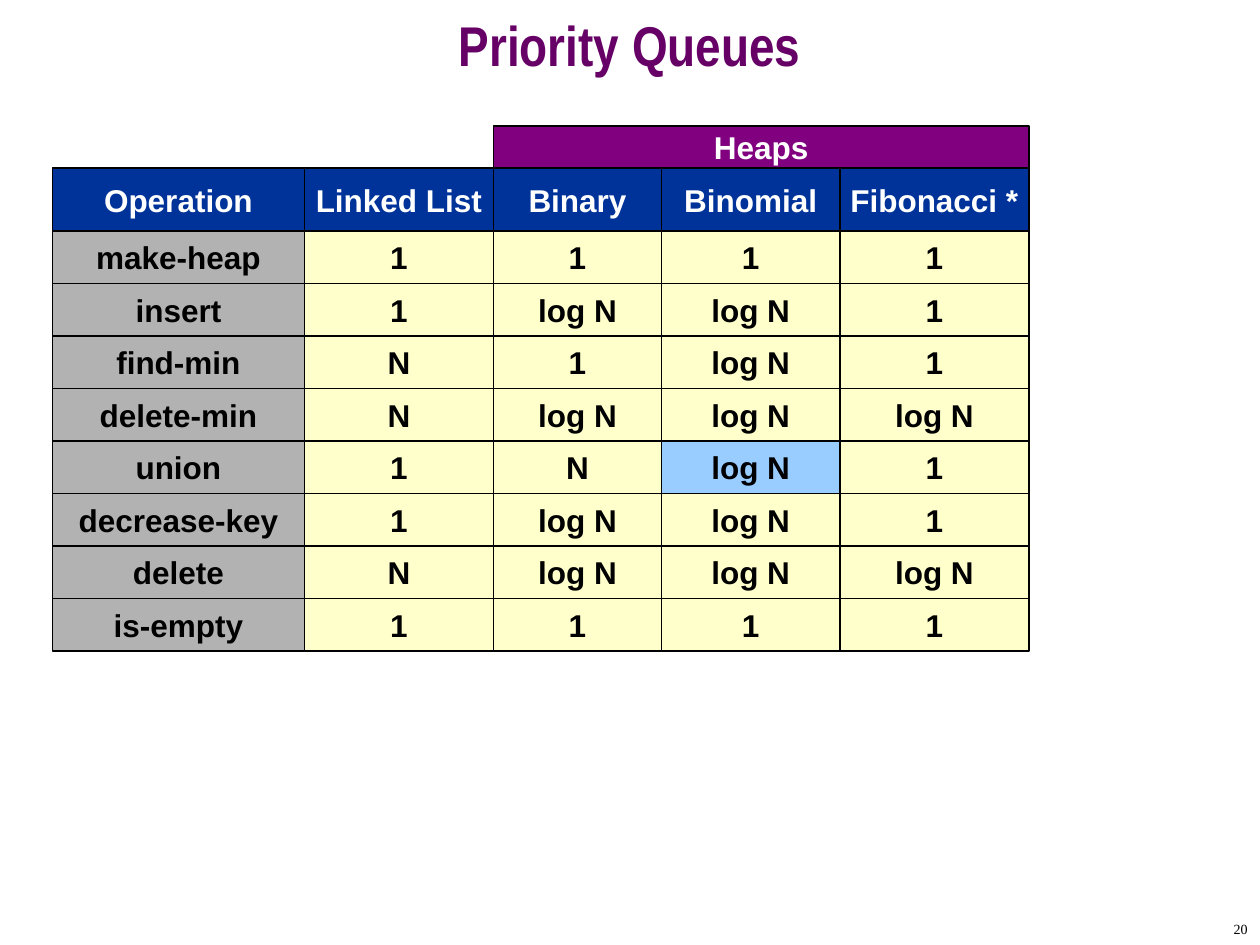
from itertools import accumulate

from pptx import Presentation, util as u
from pptx.dml.color import RGBColor
from pptx.enum import shapes, text

TITLE = "Priority Queues"
PAGE_NUMBER = "20"
GROUP = "Heaps"
HEADINGS = ["Operation", "Linked List", "Binary", "Binomial", "Fibonacci *"]
OPERATIONS = [
    ("make-heap", "1", "1", "1", "1"),
    ("insert", "1", "log N", "log N", "1"),
    ("find-min", "N", "1", "log N", "1"),
    ("delete-min", "N", "log N", "log N", "log N"),
    ("union", "1", "N", "log N", "1"),
    ("decrease-key", "1", "log N", "log N", "1"),
    ("delete", "N", "log N", "log N", "log N"),
    ("is-empty", "1", "1", "1", "1"),
]
HIGHLIGHT = ("union", "Binomial")
COLORS = {
    "title": "660066", "group": "800080", "heading": "003399",
    "operation": "B2B2B2", "cost": "FFFFCC", "highlight": "99CCFF",
    "light": "FFFFFF", "dark": "000000",
}

UNIT = u.Inches(1) // 12
COLUMNS = [24, 18, 16, 17, 18]
ROWS = [4, 6] + [5] * len(OPERATIONS)
LEFTS = list(accumulate(COLUMNS, initial=5))
TOPS = list(accumulate(ROWS, initial=12))
FIRST_HEAP = HEADINGS.index("Binary")


def color(name):
    return RGBColor.from_string(COLORS[name])


def write(box, words, font, size, ink, bold, align):
    box.text_frame.vertical_anchor = text.MSO_ANCHOR.MIDDLE
    para = box.text_frame.paragraphs[0]
    para.alignment = align
    span = para.add_run()
    span.text = words
    span.font.name, span.font.size, span.font.bold = font, u.Pt(size), bold
    span.font.color.rgb = color(ink)
    return para


def add_cell(page, row, col, words, fill, ink, columns=1):
    box = page.shapes.add_shape(
        shapes.MSO_SHAPE.RECTANGLE, LEFTS[col] * UNIT, TOPS[row] * UNIT,
        sum(COLUMNS[col:col + columns]) * UNIT, ROWS[row] * UNIT)
    box.shadow.inherit = False
    box.fill.solid()
    box.fill.fore_color.rgb = color(fill)
    box.line.color.rgb = color("dark")
    box.line.width = u.Pt(0.75)
    box.text_frame.word_wrap = False
    write(box, words, "Arial", 18, ink, True, text.PP_ALIGN.CENTER)


def add_title(page, deck):
    box = page.shapes.title
    box.left, box.top, box.width, box.height = 0, 0, deck.slide_width, 10 * UNIT
    para = write(box, TITLE, "Arial Narrow", 32, "title", True,
                 text.PP_ALIGN.CENTER)
    para.line_spacing = 0.7


def add_costs(page):
    for col, heading in enumerate(HEADINGS):
        add_cell(page, 1, col, heading, "heading", "light")
        for row, operation in enumerate(OPERATIONS, 2):
            fill = "cost" if col else "operation"
            if (operation[0], heading) == HIGHLIGHT:
                fill = "highlight"
            add_cell(page, row, col, operation[col], fill, "dark")
    add_cell(page, 0, FIRST_HEAP, GROUP, "group", "light",
             columns=len(COLUMNS) - FIRST_HEAP)


def add_page_number(page, deck):
    width, height = 25 * UNIT, 3 * UNIT
    box = page.shapes.add_textbox(
        deck.slide_width - width, deck.slide_height - height, width, height)
    box.text_frame.word_wrap = True
    write(box, PAGE_NUMBER, "Times New Roman", 8, "dark", False,
          text.PP_ALIGN.RIGHT)


def main():
    deck = Presentation()
    deck.slide_width, deck.slide_height = u.Inches(10), u.Inches(7.5)
    page = deck.slides.add_slide(deck.slide_layouts.get_by_name("Title Only"))
    add_title(page, deck)
    add_costs(page)
    add_page_number(page, deck)
    deck.save("out.pptx")


if __name__ == "__main__":
    main()
